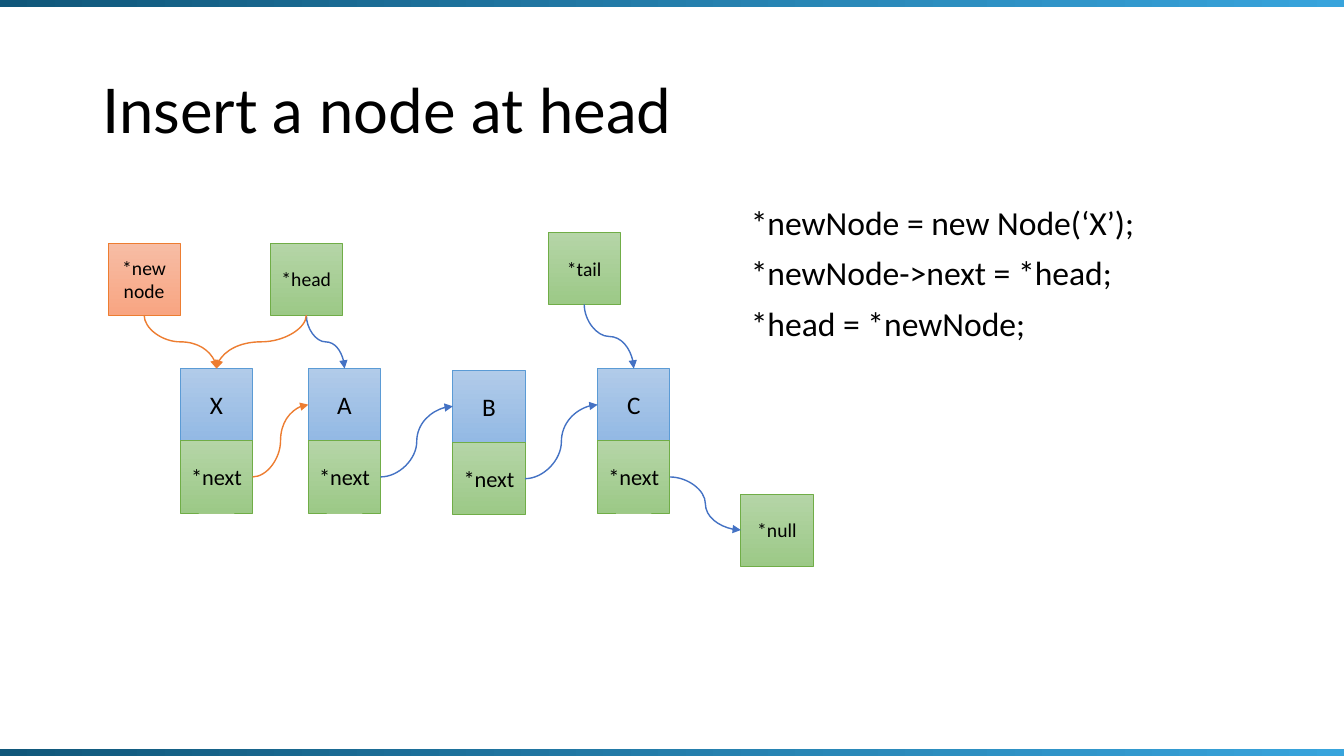
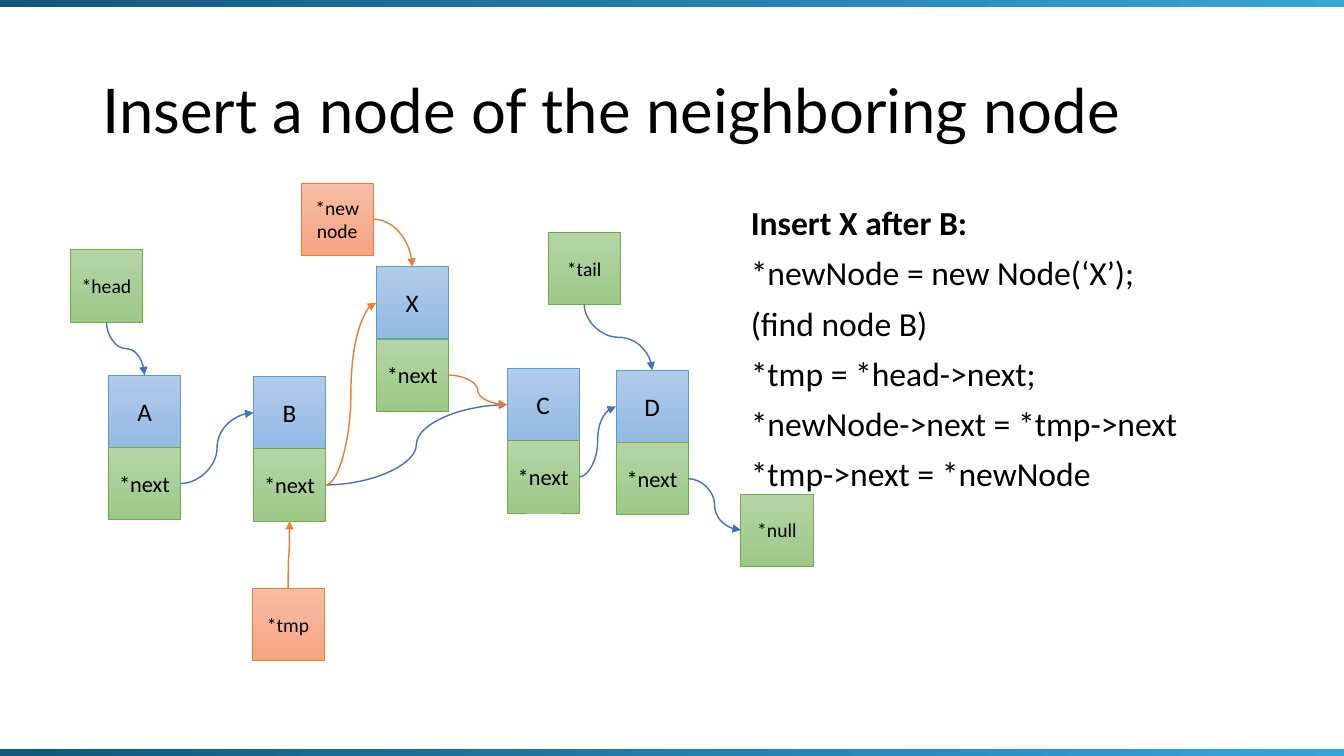
from pptx import Presentation
from pptx.dml.color import RGBColor as Rgb
from pptx.enum.shapes import MSO_CONNECTOR as Link, MSO_SHAPE as Form
from pptx.enum.text import MSO_ANCHOR as Anchor, PP_ALIGN as Align
from pptx.oxml.ns import qn
from pptx.util import Pt
from lxml.etree import SubElement as Sub

WIDE, HIGH = 960, 540
SIDE = 51.6   # edge of a square box
BAR = 5.6     # height of an edge band

HUES = {
    "ink": "000000", "dark": "10577A", "light": "38A4DC",
    "blue": "4472C4", "orange": "ED7D31",
}
# Box looks: gradient top, gradient bottom, outline
LOOKS = {
    "data": ("B1CBE9", "93B9E4", "5B9BD5"),
    "link": ("B5D5A7", "9CC987", "70AD47"),
    "new": ("F7BDA5", "F8A582", "ED7D31"),
}
# Port position as a share of the box edge
PORTS = {"top": (0.5, 0), "down": (0.5, 1), "left": (0, 0.5), "right": (1, 0.5)}

# Format values
TITLE = {"name": "Lato", "size": Pt(44)}
CODE = {"name": "Calibri", "size": Pt(24)}
LINES = {"line_spacing": 0.9, "space_before": Pt(10)}
LABEL = {"word_wrap": True, "vertical_anchor": Anchor.MIDDLE,
         "margin_left": Pt(3.6), "margin_right": Pt(3.6)}


def put(item, vals):
    for key, val in vals.items():
        setattr(item, key, val)


class Deck:
    def __init__(self):
        self.show = Presentation()
        put(self.show, {"slide_width": Pt(WIDE), "slide_height": Pt(HIGH)})
        self.page = None
        self.spots = {}

    def start(self, title, code, bold=()):
        self.page = self.show.slides.add_slide(self.show.slide_layouts[6])
        self.spots = {}
        self.text((66, 28.8, 828, 104.4), [title], TITLE, {"line_spacing": 0.9},
                  Anchor.MIDDLE)
        self.text((529.2, 144, 364.3, 342.7), code, CODE, LINES, Anchor.TOP, bold)
        for top in (-0.6, HIGH - 5):
            self.rect((0, top, WIDE, BAR), HUES["dark"], HUES["light"], 0)

    def text(self, area, lines, font, para, anchor, bold=()):
        frame = self.page.shapes.add_textbox(*map(Pt, area)).text_frame
        put(frame, {"word_wrap": True, "vertical_anchor": anchor})
        frame.text = "\n".join(lines)
        for item in frame.paragraphs:
            put(item, para)
            put(item.font, {**font, "bold": item.text in bold})
            item.font.color.rgb = Rgb.from_string(HUES["ink"])

    def rect(self, area, first, last, angle):
        shape = self.page.shapes.add_shape(Form.RECTANGLE, *map(Pt, area))
        shape.shadow.inherit = False
        shape.fill.gradient()
        shape.fill.gradient_angle = angle
        for stop, hue in zip(shape.fill.gradient_stops, (first, last)):
            stop.color.rgb = Rgb.from_string(hue)
        shape.line.fill.background()
        return shape

    def box(self, key, left, top, text, look, size=14):
        self.spots[key] = left, top
        first, last, edge = LOOKS[look]
        shape = self.rect((left, top, SIDE, SIDE), first, last, 270)
        shape.line.color.rgb = Rgb.from_string(edge)
        shape.line.width = Pt(0.5)
        put(shape.text_frame, LABEL)
        para = shape.text_frame.paragraphs[0]
        put(para, {"text": text, "alignment": Align.CENTER})
        put(para.font, {"name": "Calibri", "size": Pt(size)})
        para.font.color.rgb = Rgb.from_string(HUES["ink"])

    def node(self, key, left, top):
        self.box(key, left, top, key, "data", 18)
        self.box(key + ".next", left, top + SIDE, "*next", "link", 16)

    def port(self, key, side):
        return [spot + part * SIDE for spot, part in zip(self.spots[key], PORTS[side])]

    def wire(self, start, out, end, into, hue="blue"):
        (x, y), (tox, toy) = self.port(start, out), self.port(end, into)
        turn = 0
        if out in ("top", "down"):
            # A wire that leaves upright is a level one, turned about its middle
            dx, dy = tox - x, toy - y
            midx, midy = (x + tox) / 2, (y + toy) / 2
            turn, run, rise = (270, -dy, dx) if dx > 0 else (90, dy, -dx)
            x, tox = midx - run / 2, midx + run / 2
            y, toy = midy - rise / 2, midy + rise / 2
        line = self.page.shapes.add_connector(Link.CURVE, *map(Pt, (x, y, tox, toy)))
        line.line.color.rgb = Rgb.from_string(HUES[hue])
        line.line.width = Pt(1)
        prop = line._element.spPr
        if turn:
            prop.find(qn("a:xfrm")).set("rot", str(turn * 60000))
        elif into == "top":
            prop.find(qn("a:prstGeom")).set("prst", "curvedConnector2")
        Sub(prop.find(qn("a:ln")), qn("a:tailEnd"), type="triangle")
        Sub(prop, qn("a:effectLst"))

    def ends(self):
        self.box("tail", 391.5, 165.8, "*tail", "link")
        self.box("null", 529.2, 352.8, "*null", "link")


def main():
    deck = Deck()

    # Insert at head
    deck.start("Insert a node at head", [
        "*newNode = new Node(‘X’);",
        "*newNode->next = *head;",
        "*head = *newNode;",
    ])
    deck.ends()
    deck.box("head", 193, 173.5, "*head", "link")
    deck.box("new", 77.2, 173.5, "*new node", "new")
    for key, left, top in (("X", 128.9, 263.3), ("A", 220.3, 263.3),
                           ("B", 323.5, 264.5), ("C", 426.9, 263.3)):
        deck.node(key, left, top)
    deck.wire("head", "down", "A", "top")
    deck.wire("A.next", "right", "B", "left")
    deck.wire("B.next", "right", "C", "left")
    deck.wire("C.next", "right", "null", "left")
    deck.wire("tail", "down", "C", "top")
    deck.wire("new", "down", "X", "top", "orange")
    deck.wire("head", "down", "X", "top", "orange")
    deck.wire("X.next", "right", "A", "left", "orange")

    # Insert after a neighbor
    deck.start("Insert a node of the neighboring node", [
        "Insert X after B:",
        "*newNode = new Node(‘X’);",
        "(find node B)",
        "*tmp = *head->next;",
        "*newNode->next = *tmp->next",
        "*tmp->next = *newNode",
    ], bold=["Insert X after B:"])
    deck.ends()
    deck.box("head", 50.3, 178.4, "*head", "link")
    deck.box("new", 215.1, 130.8, "*new node", "new")
    deck.box("tmp", 180, 420.3, "*tmp", "new")
    for key, left, top in (("A", 77.5, 268), ("B", 181, 269), ("X", 268.7, 190.5),
                           ("C", 362.2, 263.3), ("D", 440, 264.5)):
        deck.node(key, left, top)
    deck.wire("head", "down", "A", "top")
    deck.wire("A.next", "right", "B", "left")
    deck.wire("B.next", "right", "C", "left")
    deck.wire("C.next", "right", "D", "left")
    deck.wire("D.next", "right", "null", "left")
    deck.wire("tail", "down", "D", "top")
    deck.wire("new", "right", "X", "top", "orange")
    deck.wire("B.next", "right", "X", "left", "orange")
    deck.wire("X.next", "right", "C", "left", "orange")
    deck.wire("tmp", "top", "B.next", "down", "orange")

    deck.show.save("out.pptx")


if __name__ == "__main__":
    main()
